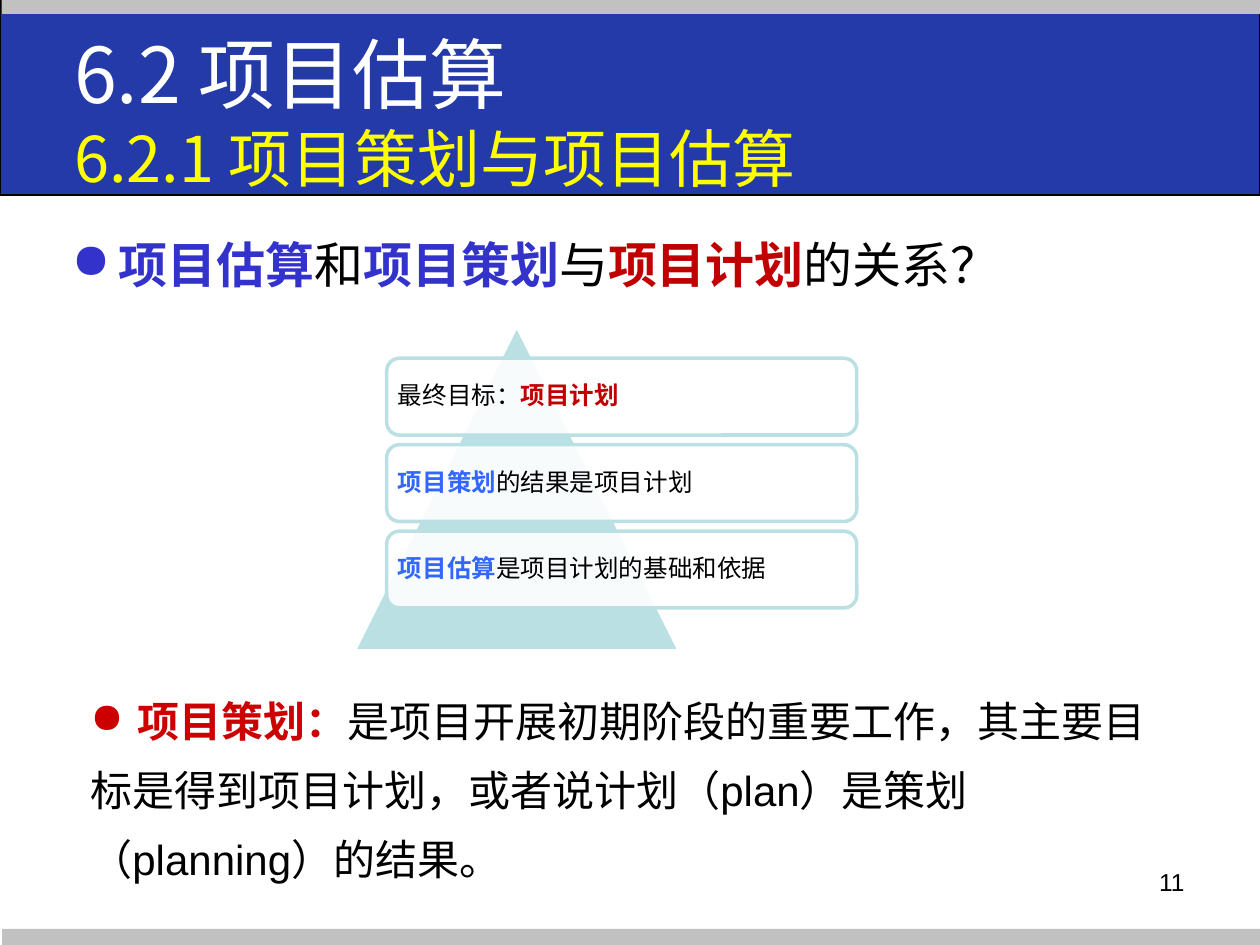
from lxml import etree
from pptx import Presentation
from pptx.dml.color import RGBColor
from pptx.enum.shapes import MSO_SHAPE
from pptx.enum.text import MSO_ANCHOR, PP_ALIGN
from pptx.oxml.ns import qn
from pptx.util import Pt

RECT = MSO_SHAPE.RECTANGLE
ROUND = MSO_SHAPE.ROUNDED_RECTANGLE
PEAK = MSO_SHAPE.ISOSCELES_TRIANGLE
TOP, MIDDLE = MSO_ANCHOR.TOP, MSO_ANCHOR.MIDDLE
LEFT, RIGHT = PP_ALIGN.LEFT, PP_ALIGN.RIGHT

WHITE = RGBColor(0xFF, 0xFF, 0xFF)
BLACK = RGBColor(0, 0, 0)
NAVY = RGBColor(0x24, 0x3A, 0xA8)
GRAY = RGBColor(0xC1, 0xC1, 0xC1)
TEAL = RGBColor(0xBB, 0xE0, 0xE3)
YELLOW = RGBColor(0xFF, 0xFF, 0)
INDIGO = RGBColor(0x33, 0x33, 0xCC)
AZURE = RGBColor(0x33, 0x66, 0xFF)
CRIMSON = RGBColor(0xC0, 0, 0)
RED = RGBColor(0xCC, 0, 0)

SANS = "Noto Sans CJK SC"
ARIAL = "Arial"
INDENT = 27


def add_box(shapes, kind, box, fill, line=None, width=0.75, alpha=None):
    shape = shapes.add_shape(kind, *map(Pt, box))
    shape.shadow.inherit = False
    shape.fill.solid()
    shape.fill.fore_color.rgb = fill
    if alpha is not None:
        color = shape.fill._xPr.find(".//" + qn("a:srgbClr"))
        etree.SubElement(color, qn("a:alpha")).set("val", str(alpha * 1000))
    if line is None:
        shape.line.fill.background()
    else:
        shape.line.color.rgb = line
        shape.line.width = Pt(width)
    return shape


def set_text(shape, paras, size=14, font=SANS, anchor=TOP, align=LEFT,
             inset=None, spacing=None, before=None, after=None,
             hang=False, bullet=None):
    """Each paragraph is a list of (text, colour, bold[, size]) runs."""
    frame = shape.text_frame
    frame.word_wrap = True
    frame.vertical_anchor = anchor
    if inset is not None:
        frame.margin_left = frame.margin_right = Pt(inset)
        frame.margin_top = frame.margin_bottom = Pt(inset)
    for i, runs in enumerate(paras):
        para = frame.paragraphs[0] if i == 0 else frame.add_paragraph()
        para.alignment = align
        if spacing is not None:
            para.line_spacing = spacing
        if before is not None:
            para.space_before = Pt(before)
        if after is not None:
            para.space_after = Pt(after)
        props = para._p.get_or_add_pPr()
        if hang:
            props.set("marL", str(Pt(INDENT)))
            props.set("indent", str(-Pt(INDENT)))
        if bullet and i == 0:
            etree.SubElement(props, qn("a:buChar")).set("char", bullet)
        for text, color, bold, *own in runs:
            run = para.add_run()
            run.text = text
            run.font.size = Pt(own[0] if own else size)
            run.font.name = font
            run.font.bold = bold
            run.font.color.rgb = color
            asian = etree.SubElement(run._r.get_or_add_rPr(), qn("a:ea"))
            asian.set("typeface", SANS)


def add_text(shapes, box, paras, **style):
    set_text(shapes.add_textbox(*map(Pt, box)), paras, **style)


def add_frame(shapes, width, height):
    # Header band and the thin bars at the top and bottom edges
    add_box(shapes, RECT, (0, -1.5, width, 113), NAVY, BLACK)
    add_box(shapes, RECT, (1.2, height - 9.2, width - 1.2, 9.2), GRAY)
    add_box(shapes, RECT, (1.2, -0.8, width - 1.2, 8.7), GRAY)


def add_pyramid(shapes, box, levels):
    # Triangle with a stack of cards, spaced evenly
    left, top, width, height = box
    group = shapes.add_group_shape().shapes
    add_box(group, PEAK, (left, top, height, height), TEAL, WHITE, 2)
    card, pitch, shift = 43.9, 49.4, 18.7
    for i, runs in enumerate(levels):
        place = (left + shift, top + shift + i * pitch, width - shift, card)
        shape = add_box(group, ROUND, place, WHITE, TEAL, 2, alpha=90)
        set_text(shape, [runs], anchor=MIDDLE, inset=4.3, spacing=0.9,
                 after=4.9)


def main():
    deck = Presentation()
    deck.slide_width, deck.slide_height = Pt(720), Pt(540)
    shapes = deck.slides.add_slide(deck.slide_layouts[6]).shapes

    add_frame(shapes, 720, 540)

    add_pyramid(shapes, (202.3, 186, 287.3, 186), [
        [("最终目标：", BLACK, False), ("项目计划", CRIMSON, True)],
        [("项目策划", AZURE, True), ("的结果是项目计划", BLACK, False)],
        [("项目估算", AZURE, True), ("是项目计划的基础和依据", BLACK, False)],
    ])

    # Title
    add_text(shapes, (35.3, 20.2, 648, 86.4), [
        [("6.2 项目估算", WHITE, False, 44)],
        [("6.2.1 项目策划与项目估算", YELLOW, False, 36)],
    ], anchor=MIDDLE)

    # Explanation of planning
    add_text(shapes, (44.6, 388.1, 640.8, 118), [
        [("项目策划：", RED, True),
         ("是项目开展初期阶段的重要工作，其主要目", BLACK, False)],
        [("标是得到项目计划，或者说计划（plan）是策划", BLACK, False)],
        [("（planning）的结果。", BLACK, False)],
    ], size=24, font=ARIAL, spacing=1.2, before=4.8, hang=True, bullet="●")

    # Page number
    add_text(shapes, (516.2, 491.8, 167.8, 37.4), [[("11", BLACK, False)]],
             font=ARIAL, align=RIGHT)

    # Leading question
    add_text(shapes, (33.8, 123.8, 635, 50.4), [
        [("项目估算", INDIGO, True), ("和", BLACK, False),
         ("项目策划", INDIGO, True), ("与", BLACK, False),
         ("项目计划", CRIMSON, True), ("的关系？", BLACK, False)],
    ], size=28, spacing=1.2, before=5.6, hang=True, bullet="●")

    deck.save("out.pptx")


if __name__ == "__main__":
    main()
